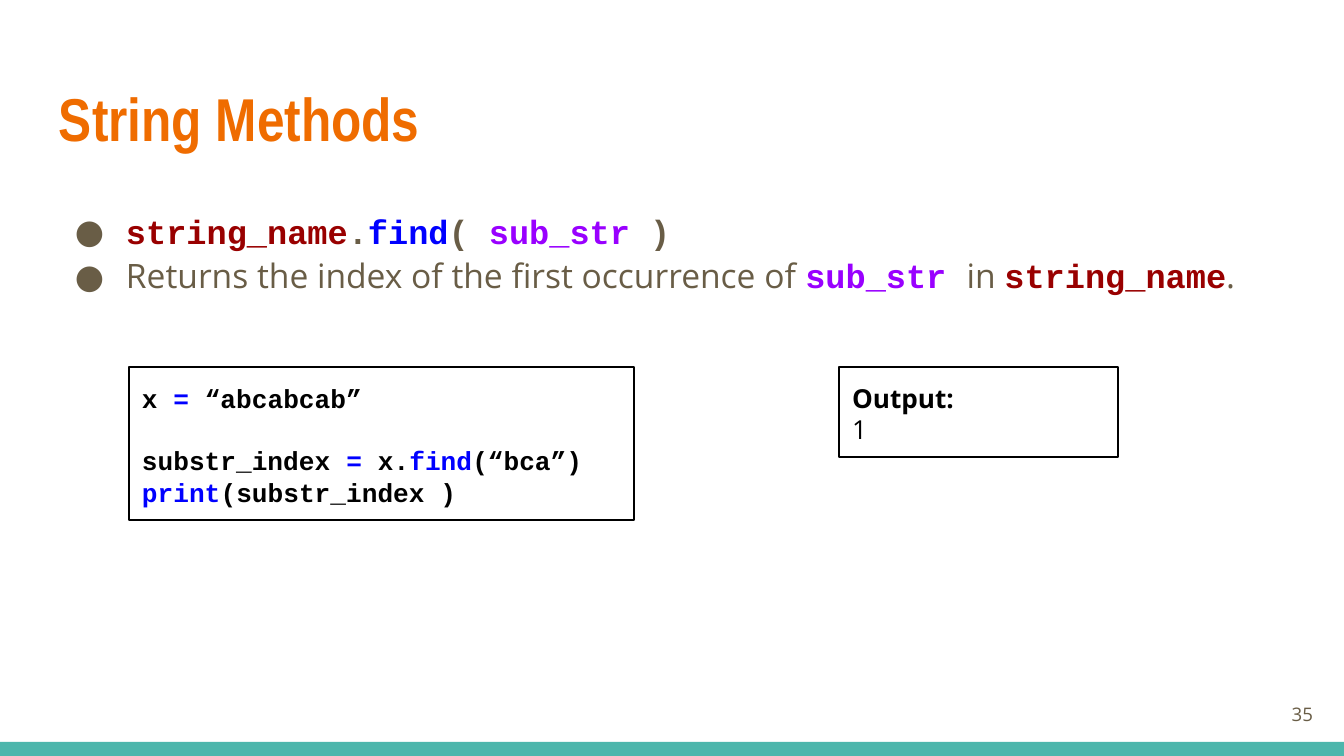
from pptx import Presentation, util as u
from pptx.dml.color import RGBColor
from pptx.enum import shapes, text
from lxml import etree

PX = 914400 / 134.4
A = "{http://schemas.openxmlformats.org/drawingml/2006/main}"
THEME = {
    "accent": "EF6C00", "bar": "4DB6AC", "body": "695D46", "ink": "000000",
    "object": "990000", "method": "0000FF", "argument": "9900FF",
    "title_size": 32.4, "body_size": 18, "box_size": 14, "number_size": 10,
    "body_leading": 24, "box_leading": 16.8,
}
CODE, SANS, HEAD = "Courier New", "Open Sans", "Arial Narrow"


def add_box(left, top, width, height, inset_top=13, anchor=text.MSO_ANCHOR.TOP):
    lengths = [round(n * PX) for n in (left, top, width, height)]
    sp = s.shapes.add_textbox(*lengths)
    tf = sp.text_frame
    tf.word_wrap = True
    tf.vertical_anchor = anchor
    tf.margin_left = tf.margin_right = tf.margin_bottom = round(13 * PX)
    tf.margin_top = round(inset_top * PX)
    return sp


def write(sp, lines, size, leading=None):
    """Fill a box; each line is a list of (text, font, colour name, bold)."""
    tf = sp.text_frame
    for i, line in enumerate(lines):
        p = tf.add_paragraph() if i else tf.paragraphs[0]
        if leading:
            p.line_spacing = u.Pt(THEME[leading])
        for words, font, colour, bold in line:
            r = p.add_run()
            r.text = words
            r.font.name, r.font.bold = font, bold
            r.font.size = u.Pt(THEME[size])
            r.font.color.rgb = RGBColor.from_string(THEME[colour])
    return tf.paragraphs


prs = Presentation()
prs.slide_width, prs.slide_height = round(1344 * PX), round(756 * PX)
s = prs.slides.add_slide(prs.slide_layouts[6])

bar = s.shapes.add_shape(shapes.MSO_SHAPE.RECTANGLE, 0, round(742 * PX),
                         prs.slide_width, round(14 * PX))
bar.shadow.inherit = False
bar.fill.solid()
bar.fill.fore_color.rgb = RGBColor.from_string(THEME["bar"])
bar.line.fill.background()

title = add_box(46, 66, 1252, 103, anchor=text.MSO_ANCHOR.MIDDLE)
write(title, [[("String Methods", HEAD, "accent", True)]], "title_size")

body = add_box(46, 185, 1252, 485, inset_top=21)
bullets = write(body, [
    [("string_name", CODE, "object", True), (".", CODE, "body", True),
     ("find", CODE, "method", True), ("( ", CODE, "body", True),
     ("sub_str ", CODE, "argument", True), (")", CODE, "body", True)],
    [("Returns the index of the first occurrence of ", SANS, "body", False),
     ("sub_str ", CODE, "argument", True), ("in ", SANS, "body", False),
     ("string_name", CODE, "object", True), (".", SANS, "body", False)],
], "body_size", "body_leading")
for p in bullets:
    pPr = p._p.get_or_add_pPr()
    pPr.set("marL", str(round(67 * PX)))
    pPr.set("indent", str(round(-51 * PX)))
    colour = etree.SubElement(pPr, A + "buClr")
    etree.SubElement(colour, A + "srgbClr", val=THEME["body"])
    etree.SubElement(pPr, A + "buFont", typeface=SANS)
    etree.SubElement(pPr, A + "buChar", char="●")

number = add_box(1246, 685, 80, 58, anchor=text.MSO_ANCHOR.MIDDLE)
write(number, [[("35", SANS, "body", False)]],
      "number_size")[0].alignment = text.PP_ALIGN.RIGHT

code = add_box(129, 367, 505, 153, inset_top=15)
code_lines = write(code, [
    [("x ", CODE, "ink", True), ("=", CODE, "method", True),
     (" “abcabcab”", CODE, "ink", True)],
    [("substr_index ", CODE, "ink", True), ("=", CODE, "method", True),
     (" x.", CODE, "ink", True), ("find", CODE, "method", True),
     ("(“bca”)", CODE, "ink", True)],
    [("print", CODE, "method", True), ("(substr_index )", CODE, "ink", True)],
], "box_size", "box_leading")
code_lines[1].space_before = u.Pt(THEME["box_leading"])

output = add_box(839, 367, 279, 90, inset_top=15)
write(output, [[("Output:", SANS, "ink", True)], [("1", SANS, "ink", False)]],
      "box_size", "box_leading")

for sp in (code, output):
    sp.line.color.rgb = RGBColor.from_string(THEME["ink"])
    sp.line.width = u.Pt(0.75)

prs.save("out.pptx")
